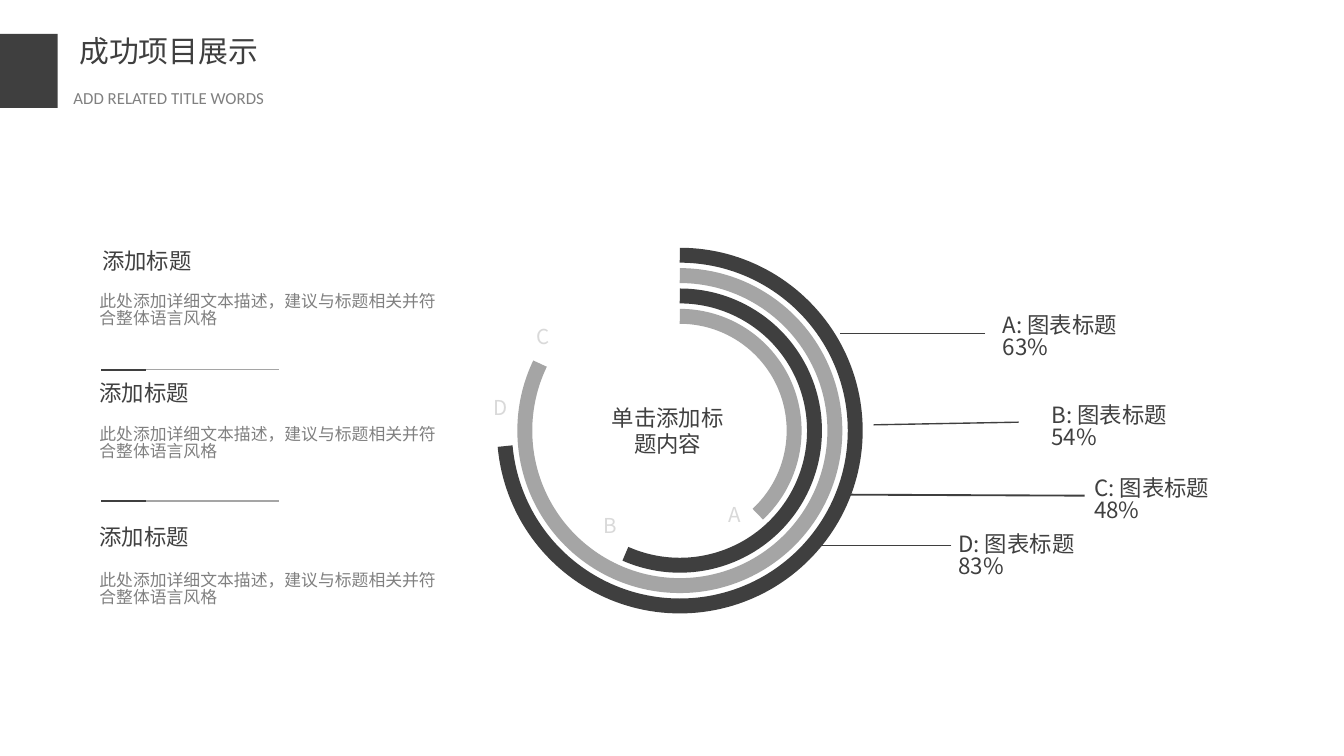
from lxml import etree
from pptx import Presentation
from pptx.dml.color import RGBColor
from pptx.enum import shapes, text
from pptx.oxml.ns import qn
from pptx.util import Cm, Pt

DARK, GREY, INK, MUTED, PALE, WHITE = "3F3F3F", "A5A5A5", "404040", "808080", "D9D9D9", "FFFFFF"
CJK = "Noto Sans CJK SC"

TITLE = "成功项目展示"
SUBTITLE = "ADD RELATED TITLE WORDS"
CENTRE_LABEL = "单击添加标题内容"
DESCRIPTION = "此处添加详细文本描述，建议与标题相关并符合整体语言风格"

# heading, heading left, heading top, description top (cm)
ITEMS = [
    ("添加标题", 1.75, 4.65, 5.46),
    ("添加标题", 1.7, 7.16, 7.98),
    ("添加标题", 1.7, 9.88, 10.74),
]
DIVIDERS = [6.99, 9.47]

# end angle in degrees clockwise from three o'clock, colour, letter, letter position
RINGS = [
    (47, GREY, "A", (13.59, 9.47)),
    (113.85, DARK, "B", (11.23, 9.68)),
    (205.6, GREY, "C", (9.96, 6.1)),
    (174.93, DARK, "D", (9.14, 7.44)),
]
RING_CENTRE = (12.85, 8.14)
RING_INNER, RING_STEP, DISC = 4.32, 0.77, 3.71

# label, label position, line start, line end, line width
CALLOUTS = [
    ("A: 图表标题 63%", (18.77, 5.87), (18.62, 6.3), (15.88, 6.3), 0.75),
    ("B: 图表标题 54%", (19.69, 7.57), (19.25, 7.98), (16.51, 8.03), 0.75),
    ("C: 图表标题 48%", (20.5, 8.94), (20.5, 9.37), (16.03, 9.35), 1),
    ("D: 图表标题 83%", (17.93, 10.01), (17.98, 10.31), (15.24, 10.31), 0.75),
]


def rgb(colour):
    return RGBColor.from_string(colour)


def write(box, wording, size, colour, font=CJK, spacing=0.83,
          align=text.PP_ALIGN.LEFT, inset=0.18):
    frame = box.text_frame
    layout = {
        "word_wrap": True, "auto_size": text.MSO_AUTO_SIZE.NONE,
        "vertical_anchor": text.MSO_ANCHOR.TOP,
        "margin_left": Cm(inset), "margin_right": Cm(inset),
        "margin_top": Cm(0.1), "margin_bottom": Cm(0.1),
    }
    for key, value in layout.items():
        setattr(frame, key, value)
    paragraph = frame.paragraphs[0]
    for key, value in {"alignment": align, "line_spacing": spacing}.items():
        setattr(paragraph, key, value)
    run = paragraph.add_run()
    run.text = wording
    for key, value in {"name": font, "size": Pt(size), "bold": False}.items():
        setattr(run.font, key, value)
    run.font.color.rgb = rgb(colour)
    east_asian = etree.SubElement(run.font._element, qn("a:ea"))
    east_asian.set("typeface", font)


def add_text(slide, wording, left, top, width, height, size, colour, **style):
    box = slide.shapes.add_textbox(Cm(left), Cm(top), Cm(width), Cm(height))
    write(box, wording, size, colour, **style)


def add_line(slide, start, end, colour, width):
    line = slide.shapes.add_connector(
        shapes.MSO_CONNECTOR.STRAIGHT, *(Cm(v) for v in (*start, *end)))
    line.line.color.rgb = rgb(colour)
    line.line.width = Pt(width)
    etree.SubElement(line._element.spPr, qn("a:effectLst"))


def add_plain(slide, kind, left, top, width, height, fill=None, outline=None):
    """Add a shadowless preset shape; an outline is drawn 8 points wide."""
    shape = slide.shapes.add_shape(kind, Cm(left), Cm(top), Cm(width), Cm(height))
    shape.shadow.inherit = False
    if fill:
        shape.fill.solid()
        shape.fill.fore_color.rgb = rgb(fill)
    else:
        shape.fill.background()
    if outline:
        shape.line.color.rgb = rgb(outline)
        shape.line.width = Pt(8)
    else:
        shape.line.fill.background()
    return shape


def add_round(slide, kind, diameter, **style):
    """Add a round shape around the ring centre."""
    left, top = (c - diameter / 2 for c in RING_CENTRE)
    return add_plain(slide, kind, left, top, diameter, diameter, **style)


def add_header(slide):
    add_plain(slide, shapes.MSO_SHAPE.RECTANGLE, 0, 0.64, 1.09, 1.4, fill=DARK)
    title = slide.shapes.title
    for key, value in {"left": 1.3, "top": 0.64, "width": 5.1, "height": 0.89}.items():
        setattr(title, key, Cm(value))
    justify = text.PP_ALIGN.JUSTIFY
    write(title, TITLE, 16, DARK, align=justify, inset=0.2)
    add_text(slide, SUBTITLE, 1.19, 1.55, 5.66, 0.58, 9, MUTED,
             font="Calibri", spacing=1.0, align=justify, inset=0.2)


def add_items(slide):
    for heading, left, heading_top, description_top in ITEMS:
        add_text(slide, heading, left, heading_top, 2.74, 0.71, 12, INK)
        add_text(slide, DESCRIPTION, 1.7, description_top, 6.99, 1.47, 9, MUTED)
    for y in DIVIDERS:
        add_line(slide, (2.01, y), (5.28, y), GREY, 0.75)
        add_line(slide, (1.91, y), (2.75, y), DARK, 1)


def add_rings(slide):
    add_round(slide, shapes.MSO_SHAPE.OVAL, DISC, fill=WHITE, outline=WHITE)
    for i, (angle, colour, letter, position) in enumerate(RINGS):
        arc = add_round(slide, shapes.MSO_SHAPE.ARC, RING_INNER + i * RING_STEP,
                        outline=colour)
        # Arc angles are stored in 60000ths of a degree, adjustments in 100000ths.
        arc.adjustments[0] = 270 * 0.6
        arc.adjustments[1] = angle * 0.6
        add_text(slide, letter, *position, 0.69, 0.66, 11, PALE)
    add_text(slide, CENTRE_LABEL, 11.2, 7.57, 2.84, 1.68, 12, INK,
             spacing=Pt(13.8), align=text.PP_ALIGN.CENTER)


def add_callouts(slide):
    for label, position, start, end, width in CALLOUTS:
        add_line(slide, start, end, DARK, width)
        add_text(slide, label, *position, 3.4, 0.71, 12, INK)


def main():
    deck = Presentation()
    deck.slide_width, deck.slide_height = Cm(25.4), Cm(14.29)
    slide = deck.slides.add_slide(deck.slide_layouts[5])
    add_header(slide)
    add_rings(slide)
    add_callouts(slide)
    add_items(slide)
    deck.save("out.pptx")


if __name__ == "__main__":
    main()
